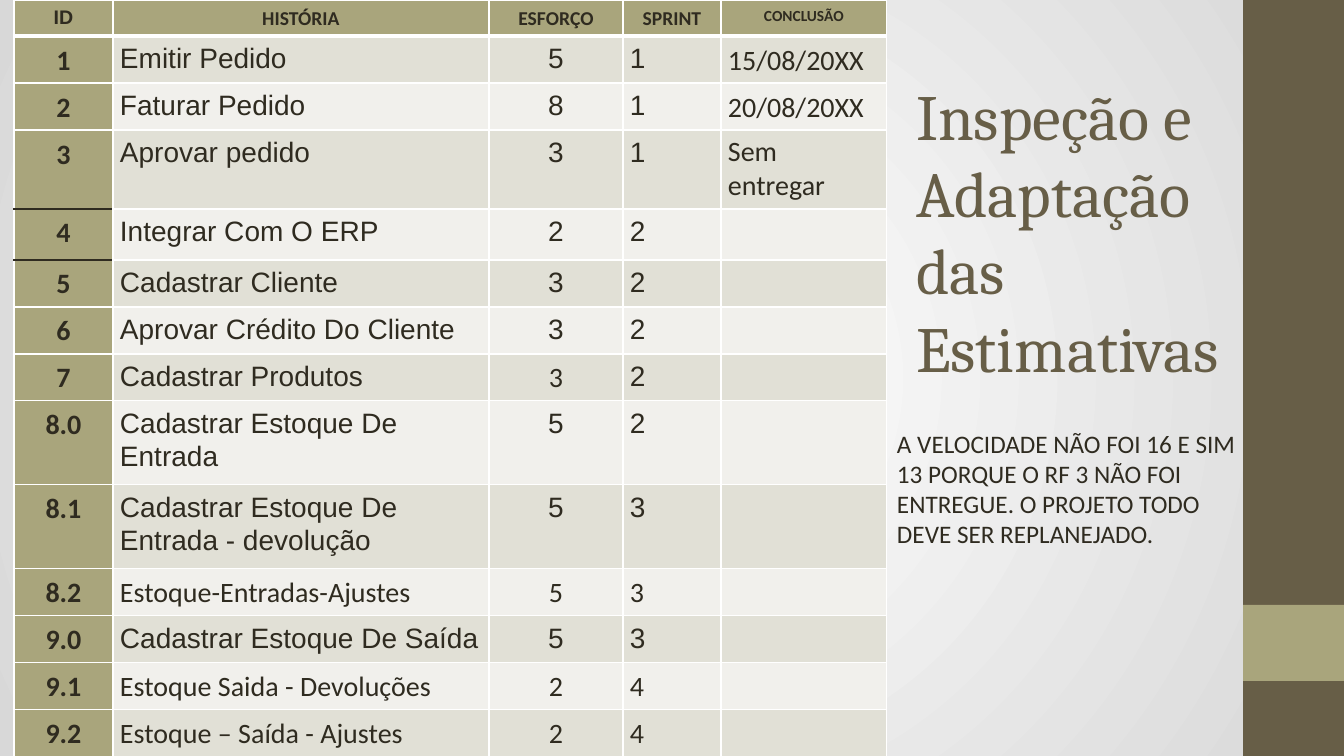
from dataclasses import dataclass
from typing import NamedTuple

from lxml import etree
from pptx import Presentation
from pptx.dml.color import RGBColor
from pptx.enum.shapes import MSO_SHAPE
from pptx.enum.text import MSO_ANCHOR, MSO_AUTO_SIZE, PP_ALIGN
from pptx.oxml.ns import qn
from pptx.util import Emu, Pt

RECT = MSO_SHAPE.RECTANGLE
TOP, MIDDLE = MSO_ANCHOR.TOP, MSO_ANCHOR.MIDDLE
FIT_NONE, FIT_SHAPE = MSO_AUTO_SIZE.NONE, MSO_AUTO_SIZE.SHAPE_TO_FIT_TEXT
LEFT, CENTER = PP_ALIGN.LEFT, PP_ALIGN.CENTER
EMU_PER_PX = 914400 / 100.8
SLIDE_W, SLIDE_H = 1344, 756


@dataclass(frozen=True)
class Theme:
    brown: str = "675E47"
    olive: str = "A9A57C"
    ink: str = "2F2B20"
    band_dark: str = "E1E0D6"
    band_light: str = "F1F0EC"
    white: str = "FFFFFF"
    grey: str = "D8D8D8"
    serif: str = "Cambria"
    sans: str = "Calibri"
    arial: str = "Arial"
    title: int = 46
    cell: int = 20
    note: int = 18
    header: int = 14
    header_small: int = 11
    rule: float = 0.96
    thick_rule: float = 3


T = Theme()


class Bar(NamedTuple):
    top: int
    height: int
    color: str


class Column(NamedTuple):
    heading: str
    width: int
    align: PP_ALIGN
    heading_font: str = T.sans
    heading_size: int = T.header


class Story(NamedTuple):
    id: str
    name: str
    effort: str
    sprint: str
    done: str = ""
    height: int = 47
    font: str = T.arial
    effort_font: str = T.arial


BARS = [Bar(0, SLIDE_H, T.brown), Bar(605, 76, T.olive)]
COLUMNS = [
    Column("ID", 99, CENTER, heading_font=T.arial),
    Column("HISTÓRIA", 376, LEFT),
    Column("ESFORÇO", 134, CENTER),
    Column("SPRINT", 98, LEFT),
    Column("CONCLUSÃO", 166, LEFT, heading_size=T.header_small),
]
HEADER_H = 36
STORIES = [
    Story("1", "Emitir Pedido", "5", "1", "15/08/20XX"),
    Story("2", "Faturar Pedido", "8", "1", "20/08/20XX"),
    Story("3", "Aprovar pedido", "3", "1", "Sem entregar", height=79),
    Story("4", "Integrar Com O ERP", "2", "2", height=51),
    Story("5", "Cadastrar Cliente", "3", "2"),
    Story("6", "Aprovar Crédito Do Cliente", "3", "2"),
    Story("7", "Cadastrar Produtos", "3", "2", effort_font=T.sans),
    Story("8.0", "Cadastrar Estoque De Entrada", "5", "2", height=84),
    Story("8.1", "Cadastrar Estoque De Entrada - devolução", "5", "3", height=84),
    Story("8.2", "Estoque-Entradas-Ajustes", "5", "3", font=T.sans, effort_font=T.sans),
    Story("9.0", "Cadastrar Estoque De Saída", "5", "3"),
    Story("9.1", "Estoque Saida - Devoluções", "2", "4", font=T.sans, effort_font=T.sans),
    Story("9.2", "Estoque – Saída - Ajustes", "2", "4", font=T.sans, effort_font=T.sans),
]
# Rows whose ID cell has a dark line below it
DARK_RULE_ROWS = (3, 4)


def px(n: int) -> Emu:
    return Emu(round(n * EMU_PER_PX))


def rgb(color: str) -> RGBColor:
    return RGBColor.from_string(color)


def write(tf, text: str, *, size: int, font: str = T.sans, color: str = T.ink,
          bold: bool = False, align: PP_ALIGN = LEFT, spacing: float = 1.0) -> None:
    p = tf.paragraphs[0]
    p.alignment = align
    p.line_spacing = spacing
    r = p.add_run()
    r.text = text
    r.font.size, r.font.name, r.font.bold = Pt(size), font, bold
    r.font.color.rgb = rgb(color)


def set_frame(tf, margins: tuple[int, int, int, int], anchor: MSO_ANCHOR,
              fit: MSO_AUTO_SIZE) -> None:
    """Margins run left, top, right, bottom."""
    tf.word_wrap = True
    tf.auto_size = fit
    tf.vertical_anchor = anchor
    tf.margin_left, tf.margin_top, tf.margin_right, tf.margin_bottom = map(px, margins)


def set_background(s) -> None:
    """Radial gradient from the centre of the slide."""
    fill = s.background.fill
    fill.gradient()
    for stop, color in zip(fill.gradient_stops, (T.white, T.grey)):
        stop.color.rgb = rgb(color)
    lin = next(s.element.iter(qn("a:lin")))
    radial = etree.Element(qn("a:path"), path="circle")
    etree.SubElement(radial, qn("a:fillToRect"), l="50000", t="50000", r="50000", b="50000")
    lin.getparent().replace(lin, radial)


def add_bar(s, bar: Bar) -> None:
    sp = s.shapes.add_shape(RECT, px(1243), px(bar.top), px(101), px(bar.height))
    sp.shadow.inherit = False
    sp.fill.solid()
    sp.fill.fore_color.rgb = rgb(bar.color)
    sp.line.fill.background()


def set_borders(cell, row: int, col: int) -> None:
    def horizontal(above: int) -> tuple[str, float]:
        """Line below the row numbered above."""
        dark = col == 0 and above in DARK_RULE_ROWS
        return T.ink if dark else T.white, T.thick_rule if above == 0 else T.rule

    side = (T.white, T.rule)
    edges = {"L": side, "R": side, "T": horizontal(row - 1), "B": horizontal(row)}
    tc_pr = cell._tc.get_or_add_tcPr()
    for i, (edge, (color, width)) in enumerate(edges.items()):
        ln = etree.Element(qn(f"a:ln{edge}"), w=str(int(Pt(width))))
        solid = etree.SubElement(ln, qn("a:solidFill"))
        etree.SubElement(solid, qn("a:srgbClr"), val=color)
        tc_pr.insert(i, ln)


def format_cell(cell, row: int, col: int) -> None:
    band = T.band_dark if row % 2 else T.band_light
    cell.fill.solid()
    cell.fill.fore_color.rgb = rgb(T.olive if row == 0 or col == 0 else band)
    cell.margin_left = cell.margin_right = px(7)
    cell.margin_top = cell.margin_bottom = px(5)
    cell.vertical_anchor = TOP
    set_borders(cell, row, col)


def add_backlog(s) -> None:
    heights = [HEADER_H] + [story.height for story in STORIES]
    width = sum(column.width for column in COLUMNS)
    table = s.shapes.add_table(len(heights), len(COLUMNS), px(14), px(0),
                               px(width), px(sum(heights))).table
    for row, height in enumerate(heights):
        table.rows[row].height = px(height)
    for col, column in enumerate(COLUMNS):
        table.columns[col].width = px(column.width)
        for row in range(len(heights)):
            format_cell(table.cell(row, col), row, col)
        write(table.cell(0, col).text_frame, column.heading, size=column.heading_size,
              font=column.heading_font, bold=True, align=CENTER, spacing=1.07)
    for row, story in enumerate(STORIES, 1):
        texts = (story.id, story.name, story.effort, story.sprint, story.done)
        fonts = (T.sans, story.font, story.effort_font, story.font, T.sans)
        for col, (text, font) in enumerate(zip(texts, fonts)):
            if text:
                write(table.cell(row, col).text_frame, text, size=T.cell, font=font,
                      bold=col == 0, align=COLUMNS[col].align,
                      spacing=1.0 if text == "Sem entregar" else 1.07)


def add_title(s) -> None:
    sp = s.shapes.title
    sp.left, sp.top, sp.width, sp.height = px(916), px(129), px(324), px(126)
    set_frame(sp.text_frame, (0, 77, 0, 0), MIDDLE, FIT_NONE)
    write(sp.text_frame, "Inspeção e Adaptação das Estimativas",
          size=T.title, font=T.serif, color=T.brown)


def add_note(s) -> None:
    sp = s.shapes.add_textbox(px(887), px(423), px(381), px(131))
    set_frame(sp.text_frame, (10, 5, 10, 5), TOP, FIT_SHAPE)
    write(sp.text_frame, "A VELOCIDADE NÃO FOI 16 E SIM 13 PORQUE O RF 3 NÃO FOI ENTREGUE. "
          "O PROJETO TODO DEVE SER REPLANEJADO.", size=T.note)


def main() -> None:
    prs = Presentation()
    prs.slide_width, prs.slide_height = px(SLIDE_W), px(SLIDE_H)
    s = prs.slides.add_slide(prs.slide_layouts[5])
    set_background(s)
    for bar in BARS:
        add_bar(s, bar)
    add_title(s)
    add_backlog(s)
    add_note(s)
    prs.save("out.pptx")


if __name__ == "__main__":
    main()
